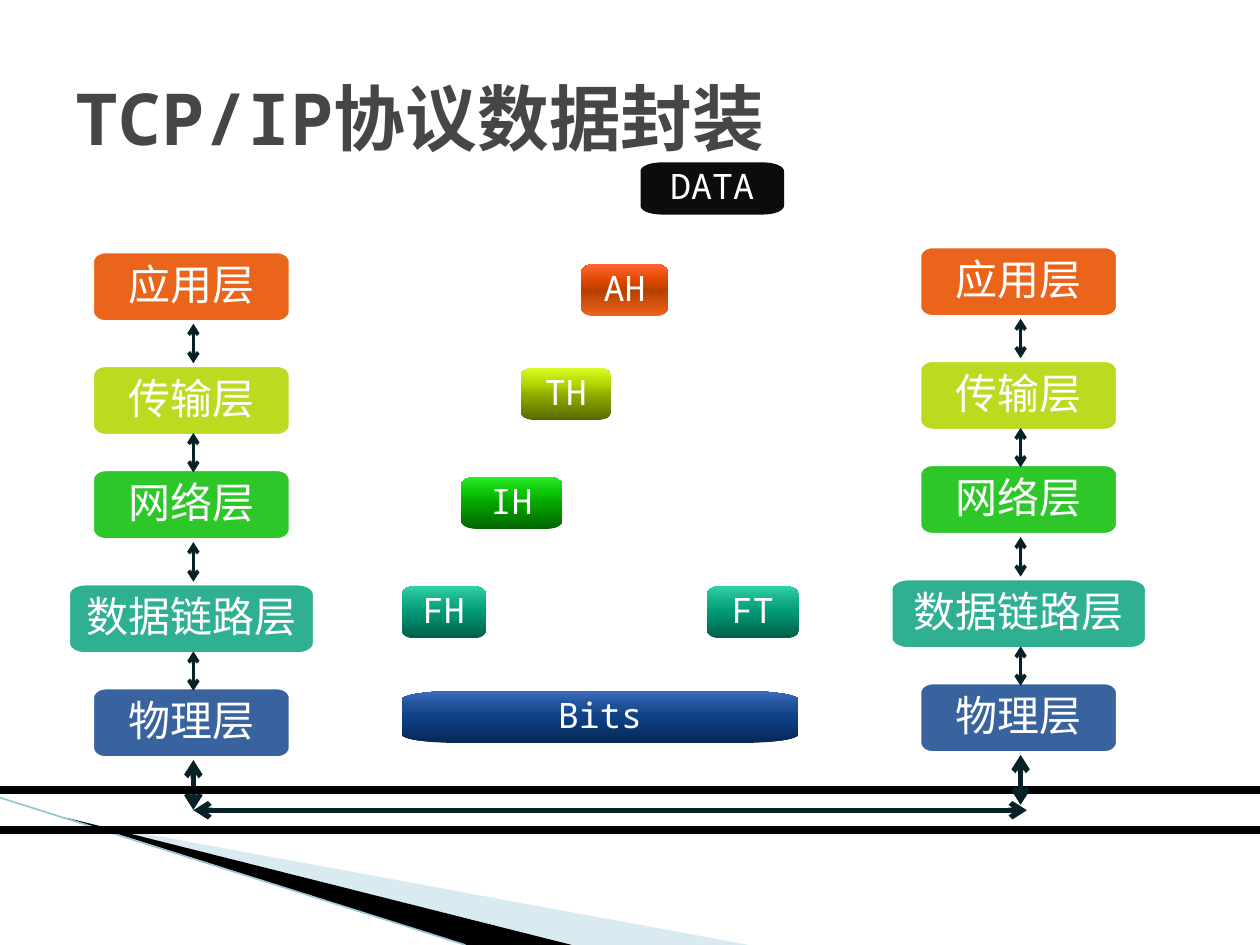
from math import cos, pi, sin

from lxml.etree import SubElement
from pptx import Presentation
from pptx.dml.color import RGBColor
from pptx.enum.shapes import MSO_CONNECTOR
from pptx.enum.text import MSO_ANCHOR, PP_ALIGN
from pptx.oxml.ns import qn
from pptx.util import Pt

SANS, MONO = "Noto Sans CJK SC", "Noto Sans Mono"
WHITE = RGBColor(0xFF, 0xFF, 0xFF)
BLACK = RGBColor(0x00, 0x00, 0x00)
NEAR_BLACK = RGBColor(0x0C, 0x0C, 0x0C)
TITLE_GREY = RGBColor(0x46, 0x46, 0x46)
ARROW_INK = RGBColor(0x06, 0x22, 0x28)
PALE_BLUE = RGBColor(0xA0, 0xCB, 0xDC)
EDGE_BLUE = RGBColor(0x97, 0xC5, 0xD8)
ORANGE = RGBColor(0xEB, 0x64, 0x1B)
LIME = RGBColor(0xBD, 0xDA, 0x20)
GREEN = RGBColor(0x2E, 0xC7, 0x29)
TEAL = RGBColor(0x30, 0xB0, 0x92)
BLUE = RGBColor(0x39, 0x63, 0x9E)

# Gradient colours from bottom to top
STOPS = (0, 50, 70, 100)
ORANGE_GLOSS = ("EB641B", "B63F00", "E14800", "FF6933")
LIME_GLOSS = ("596900", "91AE00", "B4D700", "D7FF25")
GREEN_GLOSS = ("036500", "06A600", "0BC507", "2CEC28")
TEAL_GLOSS = ("005E49", "019975", "12AC87", "32D1A7")
BLUE_GLOSS = ("062754", "0E4186", "1D5097", "3D6CBB")

TITLE = "TCP/IP协议数据封装"
LINK_LAYER = "数据链路层"
# text, top in the left stack, fill
LAYERS = [
    ("应用层", 142.6, ORANGE),
    ("传输层", 207.6, LIME),
    ("网络层", 267.1, GREEN),
    (LINK_LAYER, 332.4, TEAL),
    ("物理层", 391.8, BLUE),
]
# centre of the boxes, shift down, width of the link layer box
STACKS = [(109.4, 0, 143), (582.1, -2.9, 148.5)]
# text, left, top, width, fill
HEADERS = [
    ("AH", 332, 150.9, 49.8, ORANGE_GLOSS),
    ("TH", 297.5, 210.2, 51.8, LIME_GLOSS),
    ("IH", 263.5, 272.4, 57.8, GREEN_GLOSS),
    ("FH", 229.6, 335, 48.1, TEAL_GLOSS),
    ("Bits", 229.6, 394.8, 226.6, BLUE_GLOSS),
    ("DATA", 366, 92.8, 82, NEAR_BLACK),
    ("FT", 404, 335, 52.6, TEAL_GLOSS),
]
LAYER_W, LAYER_H, HEADER_H = 115.6, 42.5, 29.8
ARROW_TOP, ARROW_STEP, ARROW_LEN = 185, 62.4, 22.6
ARROW_SHIFT = 1.1
GROUND_TOP, GROUND_BOTTOM = 434.2, 463
SLIDE_W, SLIDE_H = 720, 540

prs = Presentation()
prs.slide_width, prs.slide_height = Pt(SLIDE_W), Pt(SLIDE_H)
shapes = prs.slides.add_slide(prs.slide_layouts[6]).shapes


def outline(points, fill):
    """Closed polygon; fill is one colour, or a tuple of gradient colours."""
    corners = [(Pt(x), Pt(y)) for x, y in points]
    builder = shapes.build_freeform(*corners[0])
    builder.add_line_segments(corners[1:], close=True)
    shape = builder.convert_to_shape()
    shape.shadow.inherit = False
    shape.line.fill.background()
    if isinstance(fill, RGBColor):
        shape.fill.solid()
        shape.fill.fore_color.rgb = fill
    else:
        shape.fill.gradient()
        shape.fill.gradient_angle = 90
        stop_list = shape._element.spPr.find(qn("a:gradFill")).find(qn("a:gsLst"))
        for old in list(stop_list):
            stop_list.remove(old)
        for percent, colour in zip(STOPS, fill):
            stop = SubElement(stop_list, qn("a:gs"), pos=str(percent * 1000))
            SubElement(stop, qn("a:srgbClr"), val=colour)
    return shape


def rounded_points(left, top, width, height, rx, ry, steps=8):
    """Points of a box whose corners are quarter ellipses, clockwise."""
    centres = [
        (left + rx, top + ry),
        (left + width - rx, top + ry),
        (left + width - rx, top + height - ry),
        (left + rx, top + height - ry),
    ]
    points = []
    for quarter, (cx, cy) in enumerate(centres):
        for step in range(steps + 1):
            angle = pi + (quarter + step / steps) * pi / 2
            points.append((cx + rx * cos(angle), cy + ry * sin(angle)))
    return points


def write(shape, text, font_name, size, colour, bold=False):
    frame = shape.text_frame
    frame.word_wrap = True
    frame.vertical_anchor = MSO_ANCHOR.MIDDLE
    run = frame.paragraphs[0].add_run()
    run.text = text
    font = run.font
    font.name, font.size, font.bold = font_name, Pt(size), bold
    font.color.rgb = colour
    SubElement(run._r.get_or_add_rPr(), qn("a:ea"), typeface=SANS)
    return frame


def label_box(text, left, top, width, height, corner, fill, font_name, size, inset):
    points = rounded_points(left, top, width, height, corner * width, height / 6)
    box = outline(points, fill)
    frame = write(box, text, font_name, size, WHITE)
    frame.margin_left = frame.margin_right = Pt(inset)
    frame.margin_top = frame.margin_bottom = Pt(inset / 1.5)
    paragraph = frame.paragraphs[0]
    paragraph.alignment = PP_ALIGN.CENTER
    paragraph.line_spacing = 0.9
    return box


def rule(x1, y1, x2, y2, colour, weight, arrows=False):
    line = shapes.add_connector(MSO_CONNECTOR.STRAIGHT, Pt(x1), Pt(y1), Pt(x2), Pt(y2))
    line.line.color.rgb = colour
    line.line.width = Pt(weight)
    if arrows:
        for end in ("a:headEnd", "a:tailEnd"):
            SubElement(line.line._get_or_add_ln(), qn(end), type="arrow")
    SubElement(line._element.spPr, qn("a:effectLst"))


def layer_stack(centre, shift, link_width):
    for text, top, fill in LAYERS:
        width = link_width if text == LINK_LAYER else LAYER_W
        box = label_box(text, centre - width / 2, top + shift, width, LAYER_H,
                        0.075, fill, SANS, 24, 7.6)
        box.line.color.rgb = WHITE
        box.line.width = Pt(4.33)
    x = centre + ARROW_SHIFT
    for gap in range(len(LAYERS) - 1):
        top = ARROW_TOP + gap * ARROW_STEP + shift
        rule(x, top + ARROW_LEN, x, top, ARROW_INK, 2, arrows=True)
    bottom = LAYERS[-1][1] + LAYER_H + shift
    rule(x, bottom + 28.5, x, bottom, ARROW_INK, 3, arrows=True)


# Corner decoration
wedge = outline([(39.6, 468.4), (428, SLIDE_H), (328.3, SLIDE_H)], PALE_BLUE)
wedge_colour = wedge._element.spPr.find(qn("a:solidFill"))[0]
SubElement(wedge_colour, qn("a:alpha"), val="40000")
outline([(38.2, 467.3), (327, SLIDE_H), (266, SLIDE_H)], BLACK)
rule(0, 455.8, 266, SLIDE_H, EDGE_BLUE, 0.95)

title_box = shapes.add_textbox(Pt(36), Pt(21.6), Pt(648), Pt(90))
write(title_box, TITLE, MONO, 41, TITLE_GREY, bold=True)

# Physical medium between the two hosts
left_stack, right_stack = STACKS
layer_stack(*left_stack)
rule(left_stack[0] + ARROW_SHIFT, GROUND_BOTTOM, right_stack[0] + 4.7, GROUND_BOTTOM,
     ARROW_INK, 3, arrows=True)
for y in (451.4, 474.2):
    rule(0, y, SLIDE_W, y, BLACK, 4.33)
layer_stack(*right_stack)

for text, left, top, width, fill in HEADERS:
    label_box(text, left, top, width, HEADER_H, 0.146, fill, MONO, 20, 5.4)

prs.save("out.pptx")
